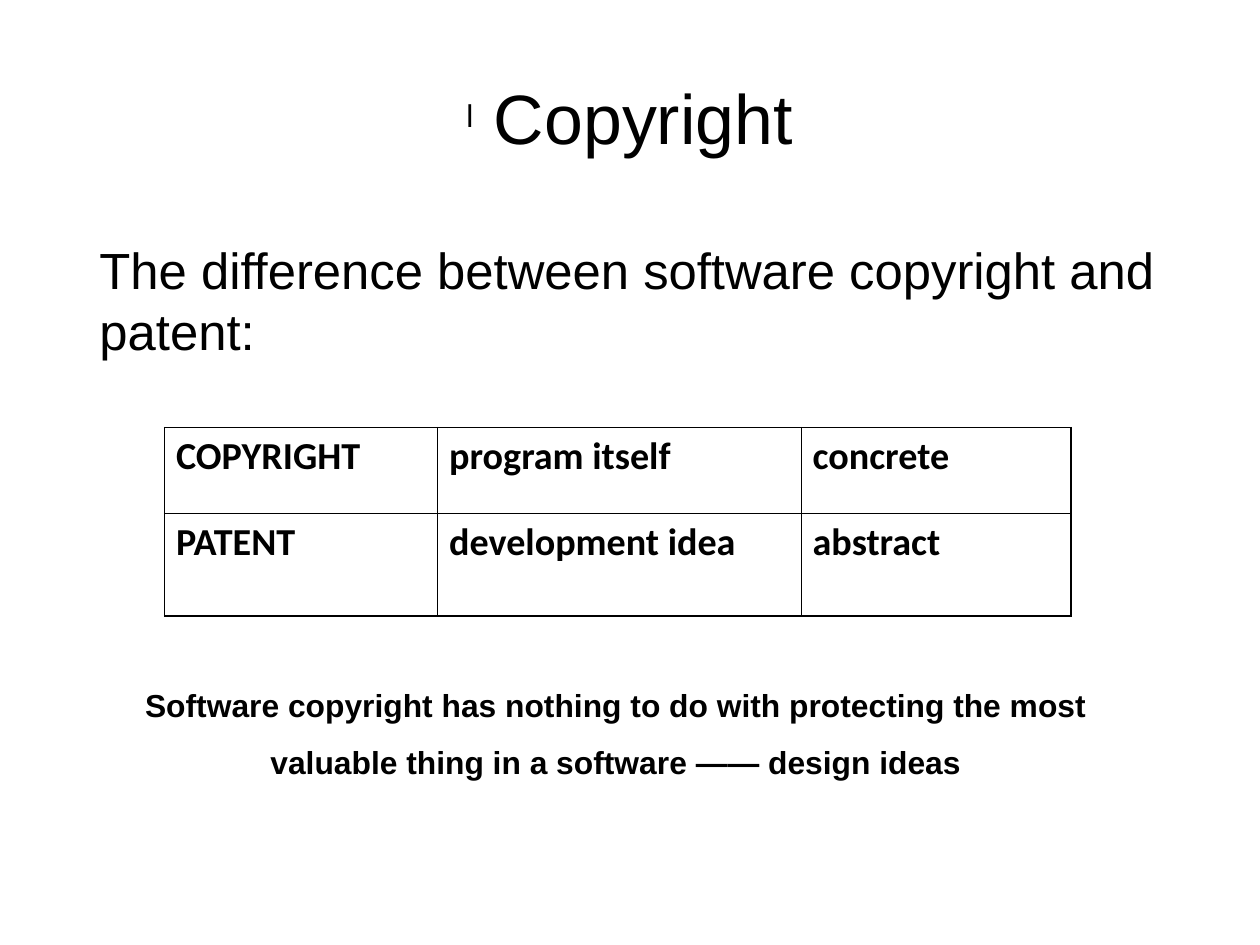
from dataclasses import dataclass

from lxml import etree
from pptx import Presentation
from pptx import util as u
from pptx.dml.color import RGBColor
from pptx.enum import text
from pptx.oxml import ns

# Content
TITLE = "Copyright"
HEADING = "The difference between software copyright and patent:"
COMPARISON = [
    ("COPYRIGHT", "program itself", "concrete"),
    ("PATENT", "development idea", "abstract"),
]
CONCLUSION = ("Software copyright has nothing to do with protecting the most "
              "valuable thing in a software —— design ideas")

# Slide size: a 4:3 page of 28 by 21 cm
SLIDE_SIZE = (u.Cm(28), u.Cm(21))

# Places in inches: left, top, width, height
TITLE_BOX = (0.55, 0.33, 9.92, 1.38)
HEADING_BOX = (0.87, 2.09, 9.29, 3.39)
CONCLUSION_BOX = (0.86, 5.78, 9.06, 0.94)
TABLE_CORNER = (1.44, 3.74)
COLUMN_WIDTHS = (2.39, 3.18, 2.36)
ROW_HEIGHTS = (0.75, 0.9)
BULLET_INDENT = 0.24


@dataclass(frozen=True)
class Theme:
    ink: str = "000000"
    font: str = "Arial"
    table_font: str = "Calibri"
    title: int = 44
    heading: int = 32
    table: int = 24
    conclusion: int = 20
    border: float = 1


THEME = Theme()


def format_paragraph(paragraph, size, name=THEME.font, bold=False):
    font = paragraph.font
    font.name, font.size, font.bold = name, u.Pt(size), bold
    font.color.rgb = RGBColor.from_string(THEME.ink)


def place(shape, box):
    shape.left, shape.top, shape.width, shape.height = map(u.Inches, box)


def set_margins(frame, margin):
    frame.margin_left = frame.margin_right = u.Inches(margin)
    frame.margin_top = frame.margin_bottom = u.Inches(margin / 2)


def add_bullet(paragraph, character, percent, indent):
    properties = paragraph._p.get_or_add_pPr()
    properties.set("marL", str(u.Inches(indent)))
    properties.set("indent", str(-u.Inches(indent)))
    for tag, key, value in (("buSzPct", "val", str(percent * 1000)),
                            ("buFont", "typeface", THEME.font),
                            ("buChar", "char", character)):
        # Bullet settings stand before the default run properties
        bullet = etree.Element(ns.qn(f"a:{tag}"))
        bullet.set(key, value)
        properties.find(ns.qn("a:defRPr")).addprevious(bullet)


def add_text(slide, box, words, size, margin, bold=False):
    shape = slide.shapes.add_textbox(*map(u.Inches, box))
    frame = shape.text_frame
    frame.word_wrap = True
    set_margins(frame, margin)
    paragraph = frame.paragraphs[0]
    paragraph.text = words
    format_paragraph(paragraph, size, bold=bold)
    return paragraph


def outline_cell(cell):
    properties = cell._tc.get_or_add_tcPr()
    for side in ("lnL", "lnR", "lnT", "lnB"):
        line = etree.SubElement(properties, ns.qn(f"a:{side}"),
                                w=str(u.Pt(THEME.border)))
        fill = etree.SubElement(line, ns.qn("a:solidFill"))
        etree.SubElement(fill, ns.qn("a:srgbClr"), val=THEME.ink)


def add_comparison(slide):
    size = (sum(COLUMN_WIDTHS), sum(ROW_HEIGHTS))
    frame = slide.shapes.add_table(len(COMPARISON), len(COLUMN_WIDTHS),
                                   *map(u.Inches, TABLE_CORNER + size))
    table = frame.table
    table.first_row = table.horz_banding = False
    for column, width in zip(table.columns, COLUMN_WIDTHS):
        column.width = u.Inches(width)
    for row, height, words in zip(table.rows, ROW_HEIGHTS, COMPARISON):
        row.height = u.Inches(height)
        for cell, word in zip(row.cells, words):
            cell.text = word
            format_paragraph(cell.text_frame.paragraphs[0], THEME.table,
                             THEME.table_font, bold=True)
            outline_cell(cell)
            cell.fill.background()


def main():
    presentation = Presentation()
    presentation.slide_width, presentation.slide_height = SLIDE_SIZE
    presentation.element.find(ns.qn("p:sldSz")).attrib.pop("type", None)
    slide = presentation.slides.add_slide(presentation.slide_layouts[5])

    # Title with its small bullet
    title = slide.shapes.title
    place(title, TITLE_BOX)
    title.text_frame.text = TITLE
    title.text_frame.vertical_anchor = text.MSO_ANCHOR.MIDDLE
    set_margins(title.text_frame, 0)
    paragraph = title.text_frame.paragraphs[0]
    paragraph.alignment = text.PP_ALIGN.CENTER
    format_paragraph(paragraph, THEME.title)
    add_bullet(paragraph, "l", 45, BULLET_INDENT)

    # Heading above the table
    add_text(slide, HEADING_BOX, HEADING, THEME.heading, 0)

    # Comparison table
    add_comparison(slide)

    # Conclusion
    conclusion = add_text(slide, CONCLUSION_BOX, CONCLUSION,
                          THEME.conclusion, 0.1, bold=True)
    conclusion.alignment = text.PP_ALIGN.CENTER
    conclusion.line_spacing = 1.5

    presentation.save("out.pptx")


if __name__ == "__main__":
    main()
